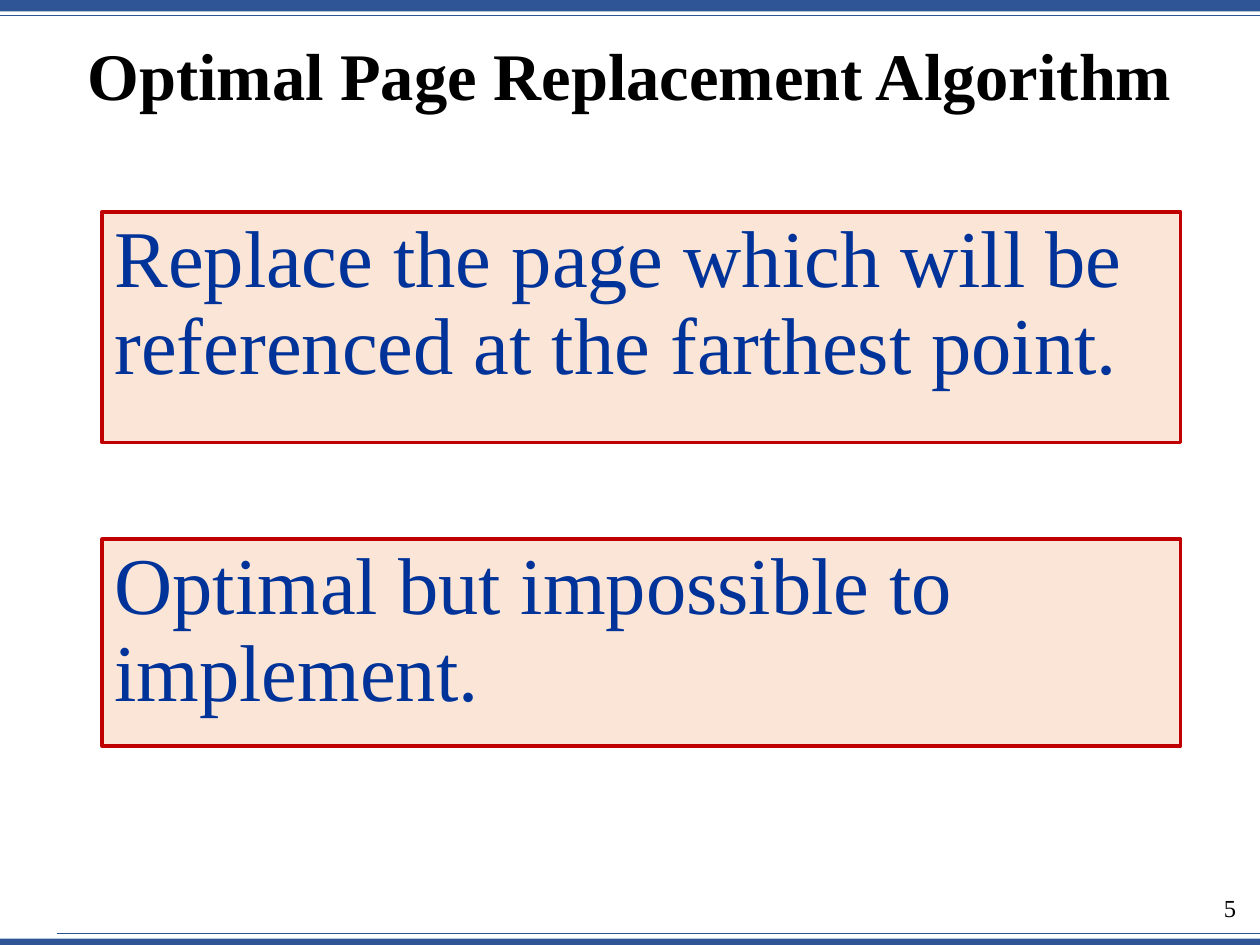
from dataclasses import dataclass
from typing import Any

from lxml.etree import SubElement
from pptx import Presentation
from pptx.dml.color import RGBColor
from pptx.enum.shapes import MSO_CONNECTOR, MSO_SHAPE
from pptx.enum.text import MSO_ANCHOR, MSO_AUTO_SIZE, PP_ALIGN
from pptx.oxml.ns import qn
from pptx.util import Cm, Pt


@dataclass(frozen=True)
class Theme:
    font: str = "Times New Roman"
    bar: RGBColor = RGBColor(0x2F, 0x55, 0x97)
    ink: RGBColor = RGBColor(0, 0, 0)
    text: RGBColor = RGBColor(0x00, 0x33, 0x99)
    fill: RGBColor = RGBColor(0xFB, 0xE5, 0xD6)
    edge: RGBColor = RGBColor(0xC0, 0x00, 0x00)
    head: int = 38
    body: int = 46
    foot: int = 14


@dataclass(frozen=True)
class Band:
    top: float
    height: float
    rule_left: float
    rule_top: float


@dataclass(frozen=True)
class Panel:
    top: float
    height: float
    words: str


THEME = Theme()
WIDTH, HEIGHT = 25.4, 19.05
LEFT, SPAN = 2.06, 21.74
BANDS = (
    Band(0, 0.23, 0, 0.31),
    Band(18.92, 0.13, 1.14, 18.82),
)
PANELS = (
    Panel(4.27, 4.65, "Replace the page which will be referenced at the farthest point."),
    Panel(10.87, 4.17, "Optimal but impossible to implement."),
)


def write(frame: Any, words: str, size: int, color: RGBColor,
          align: PP_ALIGN, bold: bool = False, space: float = 1.0) -> None:
    frame.word_wrap = True
    frame.auto_size = MSO_AUTO_SIZE.NONE
    para = frame.paragraphs[0]
    para.text = words
    para.alignment = align
    para.line_spacing = space
    para.font.name = THEME.font
    para.font.size = Pt(size)
    para.font.bold = bold
    para.font.color.rgb = color


def draw_rect(slide: Any, left: float, top: float, width: float,
              height: float, fill: RGBColor) -> Any:
    rect = slide.shapes.add_shape(
        MSO_SHAPE.RECTANGLE, Cm(left), Cm(top), Cm(width), Cm(height))
    rect.shadow.inherit = False
    rect.fill.solid()
    rect.fill.fore_color.rgb = fill
    rect.line.fill.background()
    return rect


def draw_band(slide: Any, band: Band) -> None:
    draw_rect(slide, 0, band.top, WIDTH, band.height, THEME.bar)
    rule = slide.shapes.add_connector(
        MSO_CONNECTOR.STRAIGHT, Cm(band.rule_left), Cm(band.rule_top),
        Cm(WIDTH), Cm(band.rule_top))
    rule.line.color.rgb = THEME.bar
    rule.line.width = Pt(0.5)
    SubElement(rule._element.spPr, qn("a:effectLst"))


def draw_panel(slide: Any, panel: Panel) -> None:
    rect = draw_rect(slide, LEFT, panel.top, SPAN, panel.height, THEME.fill)
    rect.line.color.rgb = THEME.edge
    rect.line.width = Pt(2)
    rect.text_frame.vertical_anchor = MSO_ANCHOR.TOP
    write(rect.text_frame, panel.words, THEME.body, THEME.text,
          PP_ALIGN.LEFT, space=0.9)


def set_title(slide: Any, words: str) -> None:
    title = slide.shapes.title
    title.left, title.top = Cm(0), Cm(0)
    title.width, title.height = Cm(WIDTH), Cm(3.18)
    title.text_frame.vertical_anchor = MSO_ANCHOR.MIDDLE
    write(title.text_frame, words, THEME.head, THEME.ink,
          PP_ALIGN.CENTER, bold=True, space=0.9)


def add_number(slide: Any, words: str) -> None:
    box = slide.shapes.add_textbox(Cm(24), Cm(17.88), Cm(1.17), Cm(1.12))
    write(box.text_frame, words, THEME.foot, THEME.ink, PP_ALIGN.RIGHT)


def main() -> None:
    deck = Presentation()
    deck.slide_width, deck.slide_height = Cm(WIDTH), Cm(HEIGHT)
    slide = deck.slides.add_slide(deck.slide_layouts[5])
    for band in BANDS:
        draw_band(slide, band)
    add_number(slide, "5")
    set_title(slide, "Optimal Page Replacement Algorithm")
    for panel in PANELS:
        draw_panel(slide, panel)
    deck.save("out.pptx")


if __name__ == "__main__":
    main()
